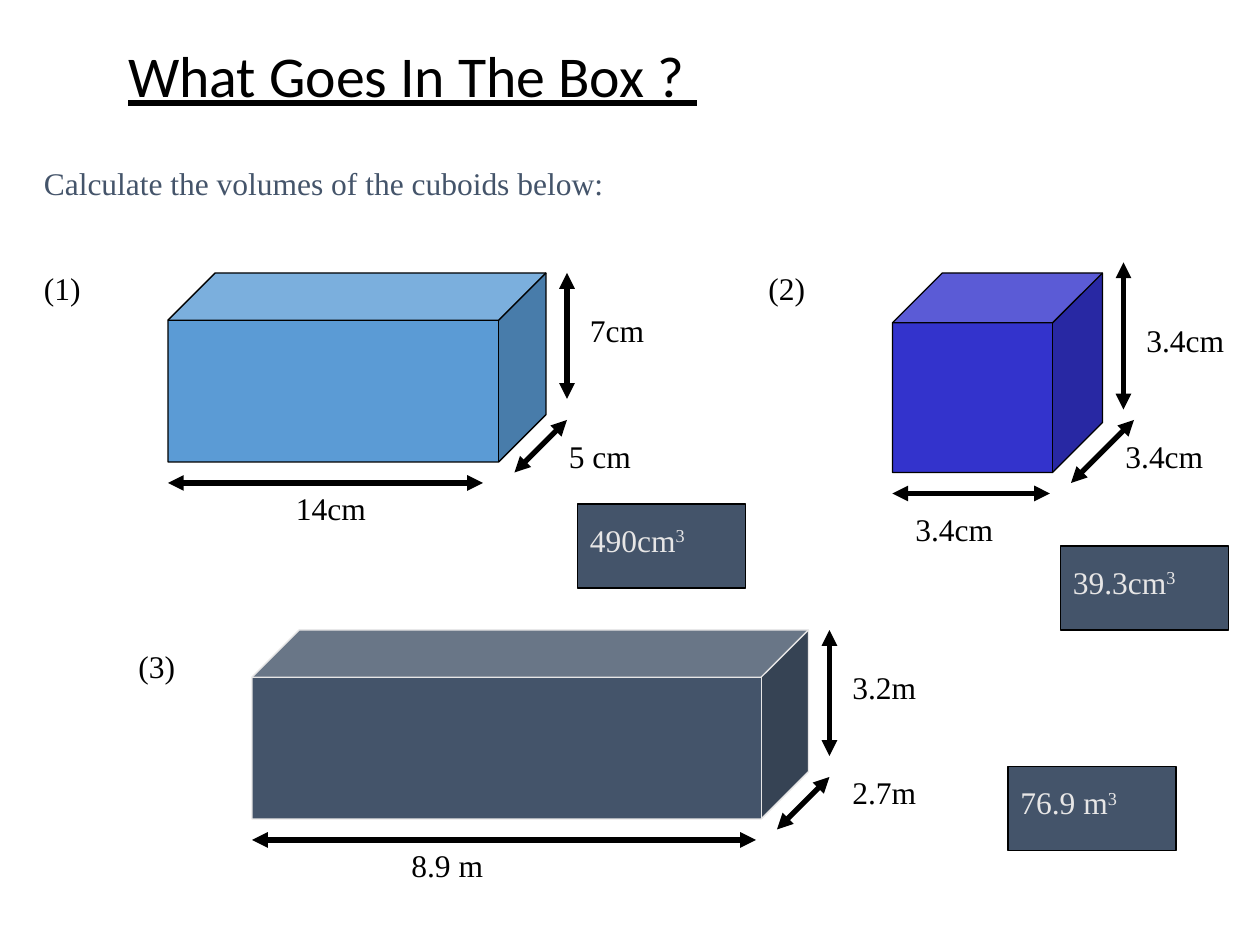
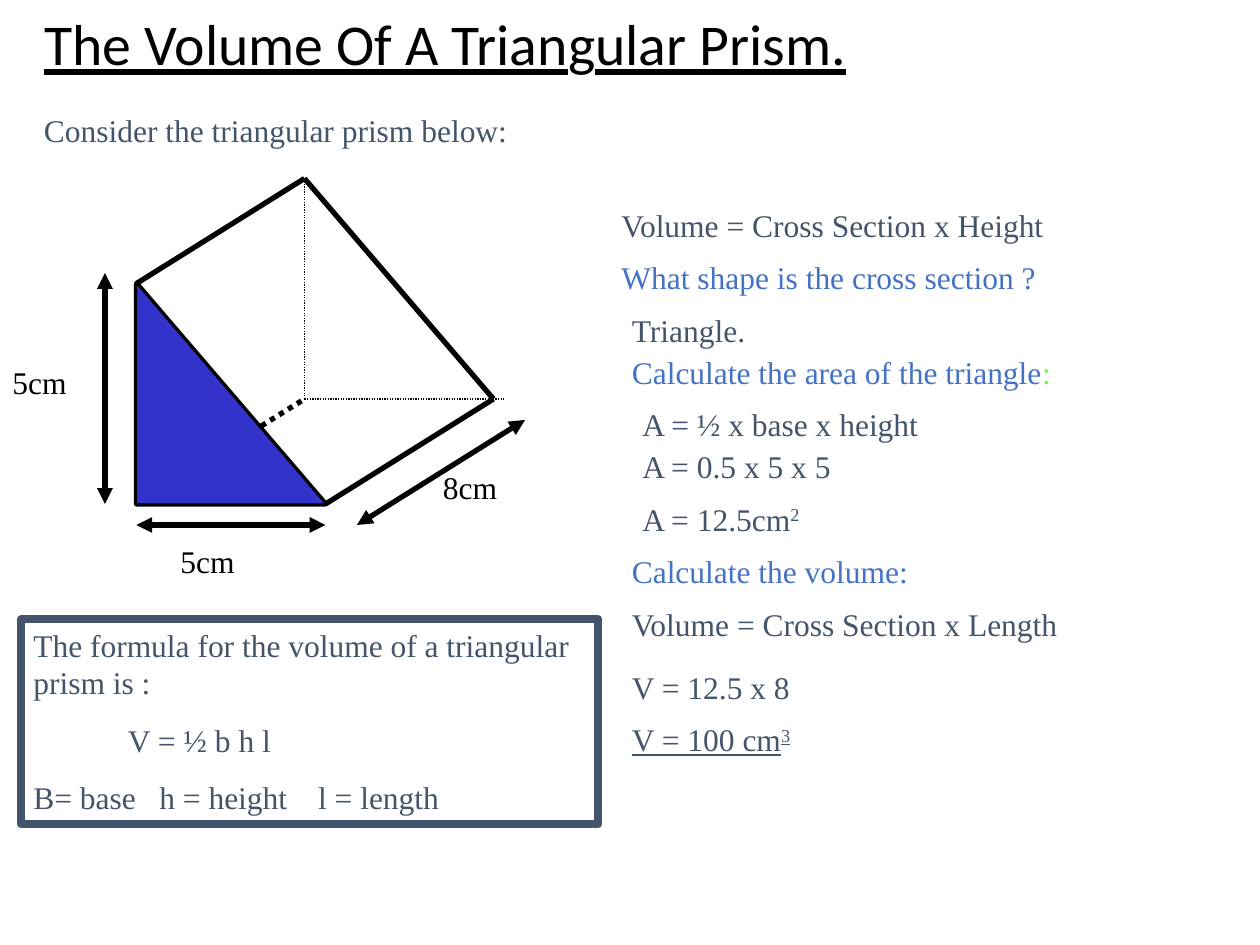
"""Two worksheet slides on the volumes of cuboids and of a triangular prism."""
from lxml.etree import SubElement
from pptx import Presentation
from pptx.dml.color import RGBColor
from pptx.enum.dml import MSO_LINE
from pptx.enum.shapes import MSO_CONNECTOR, MSO_SHAPE
from pptx.enum.text import MSO_ANCHOR, MSO_AUTO_SIZE, PP_ALIGN
from pptx.oxml.ns import qn
from pptx.util import Inches, Pt

COLORS = {
    "ink": "000000", "slate": "44546A", "pale": "E7E6E6", "question": "4472C4",
    "lime": "66FF33", "sky": "5B9BD5", "indigo": "3333CC",
}
TITLE_FONT, BODY_FONT = "Calibri", "Times New Roman"
COLS, ROWS = 120, 90
LABEL_H = 4.8
SUP, UNDER = {"sup": True}, {"underline": True}

BOX_TITLE = ((11, 3, 102, 9), [("What Goes In The Box ? ", UNDER)])
BOX_TASK = (3, 15, 77, "Calculate the volumes of the cuboids below:")
CUBOIDS = [
    {"cube": (16, 26, 36, 18), "fill": "sky", "edge": "ink",
     "labels": [(3, 25, 9, "(1)"), (27, 46, 12, "14cm"), (53, 41, 15, "5 cm"), (55, 29, 14, "7cm")],
     "arrows": [(16, 46, 46, 46), (49, 45, 54, 40), (54, 38, 54, 26)]},
    {"cube": (85, 26, 20, 19), "fill": "indigo", "edge": "ink",
     "labels": [(72, 25, 8, "(2)"), (86, 48, 14, "3.4cm"), (106, 41, 14, "3.4cm"), (108, 30, 12, "3.4cm")],
     "arrows": [(85, 47, 100, 47), (102, 46, 108, 40), (107, 39, 107, 25)]},
    {"cube": (24, 60, 53, 18), "fill": "slate", "edge": "pale",
     "labels": [(12, 61, 10, "(3)"), (38, 80, 16, "8.9 m"), (80, 73, 11, "2.7m"), (80, 63, 11, "3.2m")],
     "arrows": [(24, 80, 72, 80), (74, 79, 79, 74), (79, 72, 79, 60)]},
]
ANSWERS = [(55, 48, "490cm"), (101, 52, "39.3cm"), (96, 73, "76.9 m")]
ANSWER_W, ANSWER_H = 16, 8

PRISM_TITLE = ((3, 0, 111, 9),
               [("The Volume Of A Trian", UNDER), ("g", {}), ("ular Prism.", UNDER)])
PRISM_TASK = (3, 10, 62, "Consider the triangular prism below:")
TRIANGLE = (13, 27, 18, 21)
PRISM_EDGES = [
    (13, 27, 29, 17, 3, False), (31, 48, 47, 38, 3, False), (13, 48, 29, 38, 3, True),
    (29, 17, 29, 38, 0.75, True), (29, 38, 48, 38, 0.75, True), (29, 17, 47, 38, 3, False),
]
PRISM_LABELS = [(16, 51, 11, "5cm"), (41, 44, 11, "8cm"), (0, 34, 10, "5cm")]
PRISM_ARROWS = [(13, 50, 31, 50), (34, 50, 50, 40), (10, 26, 10, 48)]
STEPS = [
    (58, 19, 59, "slate", "Volume = Cross Section x Height"),
    (58, 24, 58, "question", "What shape is the cross section ?"),
    (59, 29, 24, "slate", "Triangle."),
    (59, 33, 57, "question", [("Calculate the area of the triangle", {}), (":", {"color": "lime"})]),
    (60, 38, 44, "slate", "A = ½ x base x height"),
    (60, 42, 42, "slate", "A = 0.5 x 5 x 5"),
    (60, 47, 25, "slate", [("A = 12.5cm", {}), ("2", SUP)]),
    (59, 52, 48, "question", "Calculate the volume:"),
    (59, 57, 59, "slate", "Volume = Cross Section x Length"),
    (59, 63, 24, "slate", "V = 12.5 x 8"),
    (59, 68, 23, "slate", [("V = 100 cm", UNDER), ("3", UNDER | SUP)]),
]
FORMULA_BOX = (2, 59, 55, 19.5)
FORMULA = [
    ("The formula for the volume of a triangular prism is :", 0, []),
    ("V = ½ b h l", 0.75, []),
    ("B= base\th = height\tl = length", 0, [1, 2.26]),
]

prs = Presentation()
prs.slide_width, prs.slide_height = Inches(10), Inches(7.5)
CELL_W, CELL_H = prs.slide_width / COLS, prs.slide_height / ROWS


def place(x, y, w, h):
    return int(x * CELL_W), int(y * CELL_H), int(w * CELL_W), int(h * CELL_H)


def rgb(name):
    return RGBColor.from_string(COLORS[name])


def write(p, runs, color="ink", font=BODY_FONT, size=18):
    for text, style in [(runs, {})] if isinstance(runs, str) else runs:
        r = p.add_run()
        r.text = text
        r.font.name, r.font.size = font, Pt(size)
        r.font.color.rgb = rgb(style.get("color", color))
        r.font.underline = style.get("underline", False)
        if style.get("sup"):
            r.font._element.set("baseline", "30000")


def add_label(shapes, x, y, w, runs, color="ink"):
    tf = shapes.add_textbox(*place(x, y, w, LABEL_H)).text_frame
    tf.word_wrap = True
    write(tf.paragraphs[0], runs, color)


def add_solid(shapes, kind, box, fill, edge="ink", width=0.75):
    sp = shapes.add_shape(kind, *place(*box))
    sp.shadow.inherit = False
    if fill:
        sp.fill.solid()
        sp.fill.fore_color.rgb = rgb(fill)
    else:
        sp.fill.background()
    sp.line.color.rgb, sp.line.width = rgb(edge), Pt(width)
    return sp


def add_line(shapes, x1, y1, x2, y2, width=3, dotted=False, arrows=False):
    c = shapes.add_connector(MSO_CONNECTOR.STRAIGHT, *place(x1, y1, x2, y2))
    c.line.color.rgb, c.line.width = rgb("ink"), Pt(width)
    if dotted:
        c.line.dash_style = MSO_LINE.ROUND_DOT
    sp_pr = c._element.spPr
    if arrows:
        for end in ("a:headEnd", "a:tailEnd"):
            SubElement(sp_pr.find(qn("a:ln")), qn(end), type="triangle")
    SubElement(sp_pr, qn("a:effectLst"))


def add_measures(shapes, labels, arrows):
    for label in labels:
        add_label(shapes, *label)
    for arrow in arrows:
        add_line(shapes, *arrow, arrows=True)


def new_slide(title, task):
    s = prs.slides.add_slide(prs.slide_layouts[5])
    box, runs = title
    sp = s.shapes.title
    sp.left, sp.top, sp.width, sp.height = place(*box)
    tf = sp.text_frame
    tf.auto_size, tf.vertical_anchor = MSO_AUTO_SIZE.NONE, MSO_ANCHOR.MIDDLE
    p = tf.paragraphs[0]
    p.alignment, p.line_spacing = PP_ALIGN.LEFT, 0.9
    write(p, runs, font=TITLE_FONT, size=33)
    add_label(s.shapes, *task, "slate")
    return s


def add_formula(shapes):
    tf = add_solid(shapes, MSO_SHAPE.RECTANGLE, FORMULA_BOX, None, "slate", 4.5).text_frame
    tf.word_wrap, tf.vertical_anchor = True, MSO_ANCHOR.TOP
    for i, (text, indent, tabs) in enumerate(FORMULA):
        p = tf.add_paragraph() if i else tf.paragraphs[0]
        p.alignment = PP_ALIGN.LEFT
        if i:
            p.space_before = Pt(11.2)
        p_pr = p._p.get_or_add_pPr()
        p_pr.set("marL", str(Inches(indent)))
        if tabs:
            tab_list = SubElement(p_pr, qn("a:tabLst"))
            for pos in tabs:
                SubElement(tab_list, qn("a:tab"), pos=str(Inches(pos)), algn="l")
        write(p, text, "slate")


def build_cuboids():
    s = new_slide(BOX_TITLE, BOX_TASK)
    for cuboid in CUBOIDS:
        group = s.shapes.add_group_shape().shapes
        add_solid(group, MSO_SHAPE.CUBE, cuboid["cube"], cuboid["fill"], cuboid["edge"])
        add_measures(group, cuboid["labels"], cuboid["arrows"])
    for x, y, volume in ANSWERS:
        add_solid(s.shapes, MSO_SHAPE.RECTANGLE, (x, y, ANSWER_W, ANSWER_H), "slate")
        add_label(s.shapes, x, y + 1, ANSWER_W, [(volume, {}), ("3", SUP)], "pale")


def build_prism():
    s = new_slide(PRISM_TITLE, PRISM_TASK)
    group = s.shapes.add_group_shape().shapes
    add_solid(group, MSO_SHAPE.RIGHT_TRIANGLE, TRIANGLE, None, width=3)
    for edge in PRISM_EDGES:
        add_line(group, *edge)
    add_measures(group, PRISM_LABELS, PRISM_ARROWS)
    for x, y, w, color, runs in STEPS:
        add_label(s.shapes, x, y, w, runs, color)
    add_solid(s.shapes, MSO_SHAPE.RIGHT_TRIANGLE, TRIANGLE, "indigo")
    add_formula(s.shapes)


if __name__ == "__main__":
    build_cuboids()
    build_prism()
    prs.save("out.pptx")
